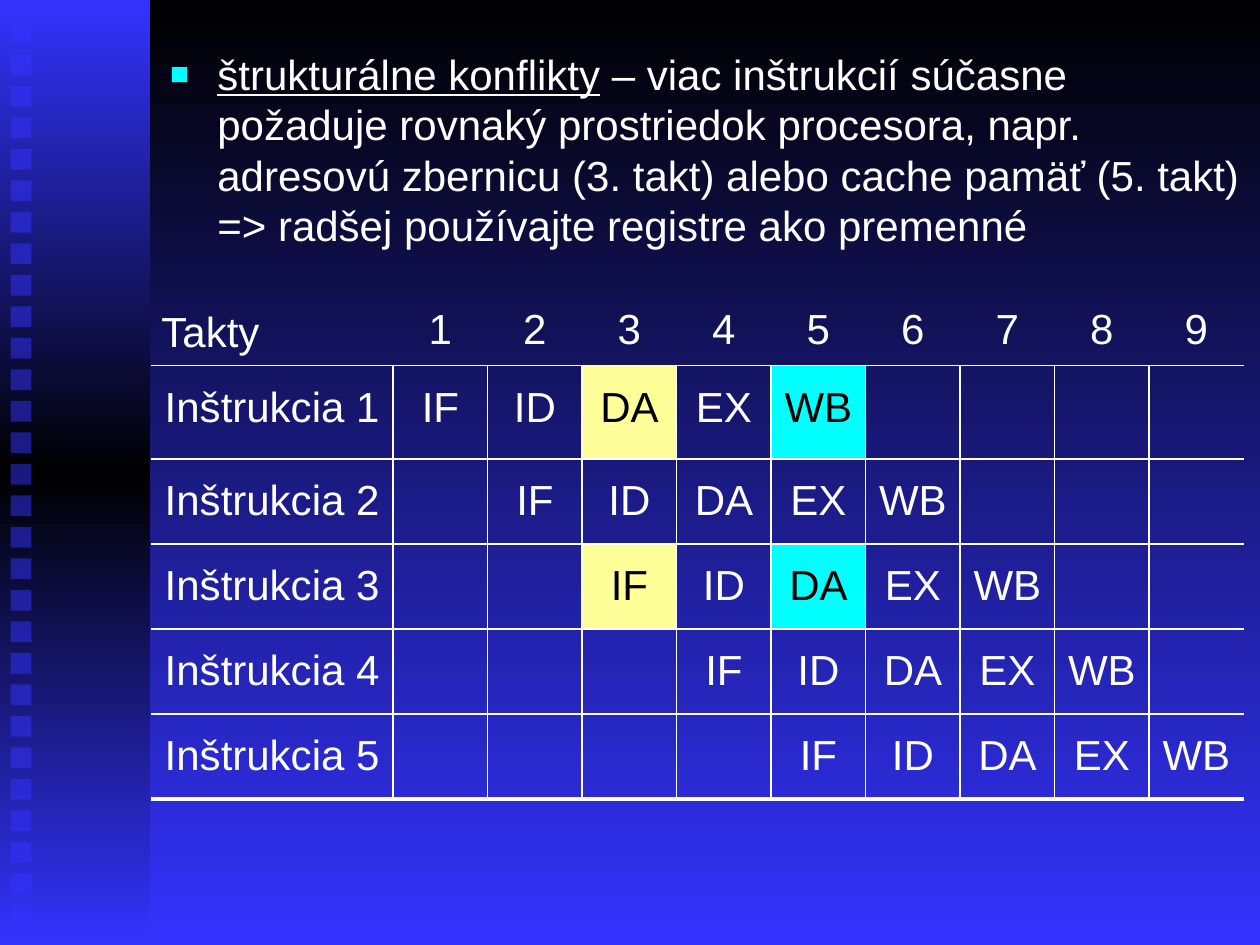
from copy import deepcopy

from lxml.etree import SubElement
from pptx import Presentation
from pptx.dml.color import RGBColor
from pptx.enum.shapes import MSO_SHAPE
from pptx.enum.text import MSO_ANCHOR, MSO_AUTO_SIZE, PP_ALIGN
from pptx.oxml.ns import qn
from pptx.util import Pt

COLORS = {"black": "000000", "white": "FFFFFF", "blue": "3333FF",
          "cyan": "00FFFF", "yellow": "FFFF99"}
FONT = "Arial"


def format_text(paragraph, color):
    paragraph.font.name = FONT
    paragraph.font.size = Pt(24)
    paragraph.font.color.rgb = RGBColor.from_string(COLORS[color])


def set_borders(cell, widths):
    """Draw left, right, top and bottom borders; width 0 means no line."""
    properties = cell._tc.get_or_add_tcPr()
    for position, (tag, width) in enumerate(zip(("lnL", "lnR", "lnT", "lnB"), widths)):
        line = SubElement(properties, qn(f"a:{tag}"), w=str(Pt(width)))
        properties.insert(position, line)
        if width:
            fill = SubElement(line, qn("a:solidFill"))
            SubElement(fill, qn("a:srgbClr"), val=COLORS["white"])
        else:
            SubElement(line, qn("a:noFill"))


presentation = Presentation()
presentation.slide_width, presentation.slide_height = Pt(720), Pt(540)
slide = presentation.slides.add_slide(presentation.slide_layouts[1])
title = slide.shapes.title
title.element.getparent().remove(title.element)

# Background gradient
background = slide.background.fill
background.gradient()
background.gradient_angle = 270
for stop, color, position in zip(background.gradient_stops, ("black", "blue"), (0, 1)):
    stop.color.rgb = RGBColor.from_string(COLORS[color])
    stop.position = position

# Side band with three gradient stops
band = slide.shapes.add_shape(MSO_SHAPE.RECTANGLE, 0, 0, Pt(85.7), Pt(540))
band.shadow.inherit = False
band.line.fill.background()
band.fill.gradient()
band.fill.gradient_angle = 270
stop_list = band.element.spPr.find(qn("a:gradFill")).find(qn("a:gsLst"))
stop_list.append(deepcopy(stop_list[0]))
for stop, color, position in zip(band.fill.gradient_stops,
                                 ("blue", "black", "blue"), (0, 0.5, 1)):
    stop.color.rgb = RGBColor.from_string(COLORS[color])
    stop.position = position

# Column of half-transparent squares
for index in range(29):
    square = slide.shapes.add_shape(MSO_SHAPE.RECTANGLE, Pt(6), Pt(13 + 18 * index),
                                    Pt(12), Pt(12))
    square.shadow.inherit = False
    square.line.fill.background()
    square.fill.solid()
    square.fill.fore_color.rgb = RGBColor.from_string(COLORS["blue"])
    color_element = square.element.spPr.find(qn("a:solidFill"))[0]
    SubElement(color_element, qn("a:alpha"), val="50000")

# Bulleted explanation
body = slide.placeholders[1]
body.left, body.top, body.width, body.height = Pt(90), Pt(24), Pt(630), Pt(124)
body.text_frame.word_wrap = True
body.text_frame.auto_size = MSO_AUTO_SIZE.SHAPE_TO_FIT_TEXT
paragraph = body.text_frame.paragraphs[0]
paragraph_properties = paragraph._p.get_or_add_pPr()
paragraph_properties.set("marL", str(Pt(27)))
paragraph_properties.set("indent", str(Pt(-27)))
bullet_color = SubElement(paragraph_properties, qn("a:buClr"))
SubElement(bullet_color, qn("a:srgbClr"), val=COLORS["cyan"])
SubElement(paragraph_properties, qn("a:buSzPct"), val="75000")
SubElement(paragraph_properties, qn("a:buFont"), typeface=FONT)
SubElement(paragraph_properties, qn("a:buChar"), char="■")
format_text(paragraph, "white")
paragraph.space_before = Pt(0)
term = paragraph.add_run()
term.text = "štrukturálne konflikty"
term.font.underline = True
explanation = paragraph.add_run()
explanation.text = (" – viac inštrukcií súčasne požaduje rovnaký prostriedok procesora, "
                    "napr. adresovú zbernicu (3. takt) alebo cache pamäť (5. takt) "
                    "=> radšej používajte registre ako premenné")

# Pipeline table: each instruction starts one cycle after the previous one
STAGES = ["IF", "ID", "DA", "EX", "WB"]
CYCLES = 9
HIGHLIGHTS = {(1, 3): "yellow", (3, 3): "yellow", (1, 5): "cyan", (3, 5): "cyan"}
rows = [["Takty", *map(str, range(1, CYCLES + 1))]]
for index in range(5):
    rows.append([f"Inštrukcia {index + 1}", *[""] * index, *STAGES,
                 *[""] * (CYCLES - len(STAGES) - index)])
column_widths = [138.4] + [54] * CYCLES
row_heights = [42.5, 53.4] + [48.6] * 4

table = slide.shapes.add_table(len(rows), CYCLES + 1, Pt(86.3), Pt(166.3),
                               Pt(sum(column_widths)), Pt(sum(row_heights))).table
table.first_row = table.horz_banding = False
for column, width in zip(table.columns, column_widths):
    column.width = Pt(width)
for row, height in zip(table.rows, row_heights):
    row.height = Pt(height)

for row_index, row in enumerate(rows):
    is_header = row_index == 0
    for column_index, text in enumerate(row):
        cell = table.cell(row_index, column_index)
        highlight = HIGHLIGHTS.get((row_index, column_index))
        cell.text = text
        cell.margin_left = cell.margin_right = Pt(6)
        cell.margin_top, cell.margin_bottom = Pt(8.6 if is_header else 10.8), Pt(3)
        paragraph = cell.text_frame.paragraphs[0]
        paragraph.alignment = PP_ALIGN.CENTER
        format_text(paragraph, "black" if highlight else "white")
        if highlight:
            cell.fill.solid()
            cell.fill.fore_color.rgb = RGBColor.from_string(COLORS[highlight])
        else:
            cell.fill.background()
        set_borders(cell, (0 if is_header or column_index == 0 else 1,
                           0 if is_header or column_index == CYCLES else 1,
                           0 if is_header else 1,
                           2.25 if row_index == len(rows) - 1 else 1))

corner = table.cell(0, 0)
corner.vertical_anchor = MSO_ANCHOR.MIDDLE
corner.text_frame.paragraphs[0].alignment = PP_ALIGN.LEFT

presentation.save("out.pptx")
